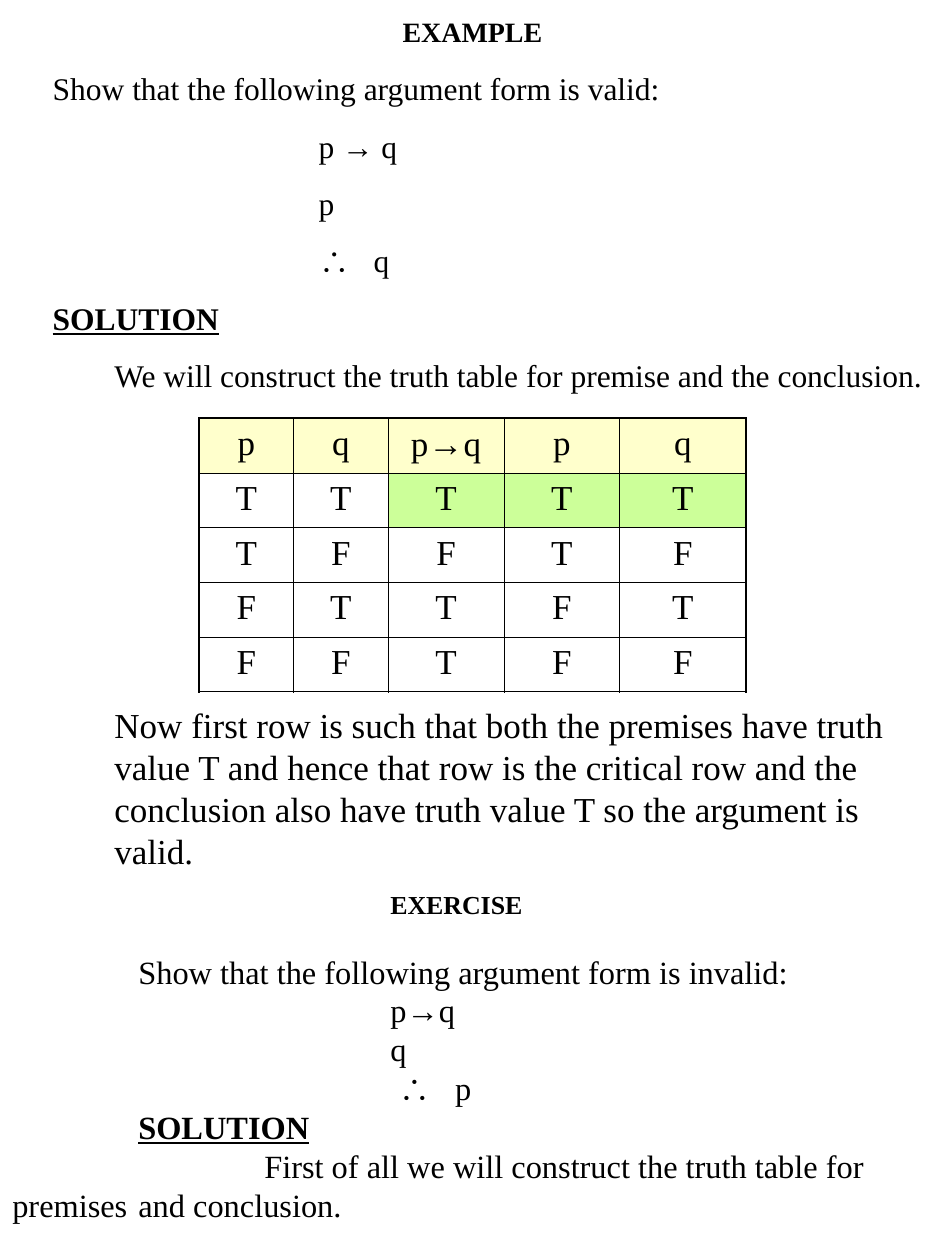
import dataclasses
import typing

import pptx
import pptx.dml.color
import pptx.enum.text
import pptx.oxml
import pptx.oxml.ns
import pptx.util
from pptx.util import Inches

COLORS = {"ink": "000000", "header": "FFFFCC", "critical": "CCFF99"}
SERIF, SYMBOL_FONT = "Times New Roman", "Arial"
SYMBOLS = "→∴"
THIN, THICK = 0.45, 1.08
CENTER = pptx.enum.text.PP_ALIGN.CENTER
MIDDLE = pptx.enum.text.MSO_ANCHOR.MIDDLE


@dataclasses.dataclass
class Line:
    text: str
    size: float = 18
    left: float = 0
    first: float = 0
    before: float = 0
    bold: bool = False
    underline: bool = False
    alignment: typing.Any = None


TITLE = Line("EXAMPLE", 16, bold=True, alignment=CENTER)

EXAMPLE = [
    Line("Show that the following argument form is valid:", left=0.32, before=11.2),
    Line("p → q", left=2.43, before=11.2),
    Line("p", left=2.43, before=11.2),
    Line("∴   q", left=2.43, before=11.2),
    Line("SOLUTION", left=0.32, before=11.2, bold=True, underline=True),
    Line("We will construct the truth table for premise and the conclusion.",
         left=0.81, before=11.2),
    Line("Now first row is such that both the premises have truth value T and hence "
         "that row is the critical row and the conclusion also have truth value T so "
         "the argument is valid.", 20, left=0.81, before=177),
]

EXERCISE = [
    Line("EXERCISE", 14.8, left=3, bold=True),
    Line("Show that the following argument form is invalid:", 18.5, left=1, before=18),
    Line("p→q", 18.5, left=3),
    Line("q", 18.5, left=3),
    Line(" ∴   p", 18.5, left=3),
    Line("SOLUTION", 18.5, left=1, bold=True, underline=True),
    Line("First of all we will construct the truth table for premises \tand conclusion.",
         18.5, first=2),
]

TRUTH_TABLE = [
    ["p", "q", "p→q", "p", "q"],
    list("TTTTT"),
    list("TFFTF"),
    list("FTTFT"),
    list("FFTFF"),
]
COLUMN_WIDTHS = [0.75, 0.75, 0.92, 0.92, 1]
ROW_HEIGHT = 0.43


def split_symbols(text: str) -> list[str]:
    for symbol in SYMBOLS:
        text = text.replace(symbol, f"\0{symbol}\0")
    return [part for part in text.split("\0") if part]


def write_line(paragraph, line: Line) -> None:
    paragraph.alignment = line.alignment
    paragraph.space_before = pptx.util.Pt(line.before)
    properties = paragraph._p.get_or_add_pPr()
    properties.set("marL", str(Inches(line.left)))
    properties.set("indent", str(Inches(line.first)))
    for part in split_symbols(line.text):
        run = paragraph.add_run()
        run.text = part
        run.font.color.rgb = pptx.dml.color.RGBColor.from_string(COLORS["ink"])
        font_format = {
            "name": SYMBOL_FONT if part in SYMBOLS else SERIF,
            "size": pptx.util.Pt(line.size),
            "bold": line.bold,
            "underline": line.underline,
        }
        for name, value in font_format.items():
            setattr(run.font, name, value)


def write_lines(text_frame, lines: list[Line]) -> None:
    for index, line in enumerate(lines):
        paragraph = text_frame.add_paragraph() if index else text_frame.paragraphs[0]
        write_line(paragraph, line)


def add_text(slide, top: float, height: float, lines: list[Line], anchor=None) -> None:
    box = slide.shapes.add_textbox(0, Inches(top), Inches(7.5), Inches(height))
    box.text_frame.word_wrap = True
    box.text_frame.vertical_anchor = anchor
    write_lines(box.text_frame, lines)


def set_borders(cell, widths: dict[str, float]) -> None:
    properties = cell._tc.get_or_add_tcPr()
    for index, (side, width) in enumerate(widths.items()):
        border = pptx.oxml.parse_xml(
            f'<a:{side} {pptx.oxml.ns.nsdecls("a")} w="{pptx.util.Pt(width)}">'
            f'<a:solidFill><a:srgbClr val="{COLORS["ink"]}"/></a:solidFill></a:{side}>')
        properties.insert(index, border)


def add_truth_table(slide) -> None:
    row_count, column_count = len(TRUTH_TABLE), len(COLUMN_WIDTHS)
    frame = slide.shapes.add_table(
        row_count, column_count, Inches(1.58), Inches(3.32),
        Inches(sum(COLUMN_WIDTHS)), Inches(ROW_HEIGHT * row_count))
    table = frame.table
    table.first_row = table.horz_banding = False
    for column, width in zip(table.columns, COLUMN_WIDTHS):
        column.width = Inches(width)
    for row_index, values in enumerate(TRUTH_TABLE):
        table.rows[row_index].height = Inches(ROW_HEIGHT)
        for column_index, value in enumerate(values):
            cell = table.cell(row_index, column_index)
            write_line(cell.text_frame.paragraphs[0],
                       Line(value, 20, before=5, alignment=CENTER))
            fill = "header" if row_index == 0 else None
            if row_index == 1 and column_index >= 2:
                fill = "critical"
            if fill:
                cell.fill.solid()
                cell.fill.fore_color.rgb = pptx.dml.color.RGBColor.from_string(COLORS[fill])
            else:
                cell.fill.background()
            set_borders(cell, {
                "lnL": THICK if column_index == 0 else THIN,
                "lnR": THICK if column_index == column_count - 1 else THIN,
                "lnT": THICK if row_index == 0 else THIN,
                "lnB": THICK if row_index == row_count - 1 else THIN,
            })


def main() -> None:
    presentation = pptx.Presentation()
    presentation.slide_width, presentation.slide_height = Inches(7.5), Inches(10)
    slide = presentation.slides.add_slide(presentation.slide_layouts[5])
    title = slide.shapes.title
    place = {"left": 0, "top": 0, "width": Inches(7.5), "height": Inches(0.5)}
    for name, value in place.items():
        setattr(title, name, value)
    title.text_frame.vertical_anchor = MIDDLE
    write_lines(title.text_frame, [TITLE])
    add_text(slide, 0.5, 6.47, EXAMPLE)
    add_truth_table(slide)
    add_text(slide, 6.92, 2.93, EXERCISE, MIDDLE)
    presentation.save("out.pptx")


if __name__ == "__main__":
    main()
